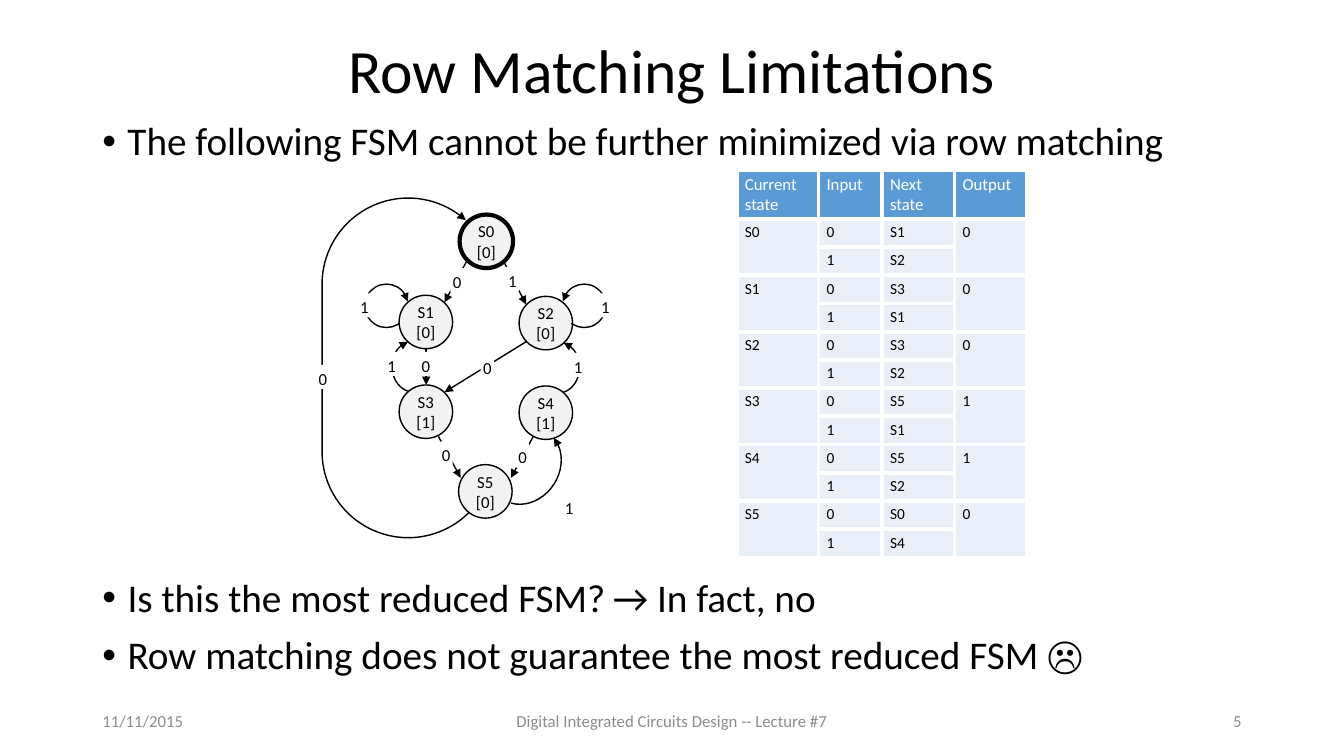
from math import cos, radians, sin

from lxml.etree import SubElement
from pptx import Presentation
from pptx.dml.color import RGBColor
from pptx.enum.shapes import MSO_CONNECTOR as LINK, MSO_SHAPE as SHAPE
from pptx.enum.text import MSO_ANCHOR as ANCHOR, PP_ALIGN as ALIGN
from pptx.oxml.ns import qn
from pptx.util import Pt

COLORS = {"ink": "000000", "paper": "FFFFFF", "state": "F2F2F2",
          "footer": "8C8C8C", "header": "5B9BD5", "cell": "EAEFF7"}


def color(name):
    return RGBColor.from_string(COLORS[name])


def apply(target, values):
    for key, value in values.items():
        setattr(target, key, value)


def write(frame, lines, size, ink="ink", paragraph_format=None, **frame_format):
    """Fill a text frame, one paragraph per line."""
    apply(frame, {"word_wrap": True, "vertical_anchor": ANCHOR.MIDDLE, **frame_format})
    frame.text = "\n".join(lines)
    for paragraph in frame.paragraphs:
        apply(paragraph, paragraph_format or {})
        for run in paragraph.runs:
            apply(run.font, {"name": "Calibri", "size": Pt(size), "bold": False})
            run.font.color.rgb = color(ink)


def add_text(slide, box, line, size, **text_format):
    frame = slide.shapes.add_textbox(*map(Pt, box)).text_frame
    write(frame, [line], size, **text_format)
    return frame


def style(shape, fill=None, weight=None):
    shape.shadow.inherit = False
    if fill:
        shape.fill.solid()
        shape.fill.fore_color.rgb = color(fill)
    else:
        shape.fill.background()
    if weight:
        shape.line.color.rgb = color("ink")
        shape.line.width = Pt(weight)
    else:
        shape.line.fill.background()


def add_arrowhead(edge, end="tailEnd"):
    SubElement(edge.line._get_or_add_ln(), qn("a:" + end), type="triangle")


# Title
def place_title(slide, box):
    title = slide.shapes.title
    apply(title, dict(zip(("left", "top", "width", "height"), map(Pt, box))))
    write(title.text_frame, ["Row Matching Limitations"], 44,
          paragraph_format={"alignment": ALIGN.CENTER, "line_spacing": 0.9})


# Statements
def place_statement(slide, box, line, bulleted=True):
    frame = add_text(slide, box, line, 28, vertical_anchor=ANCHOR.TOP,
                     paragraph_format={"line_spacing": 0.9, "space_before": Pt(12)})
    if bulleted:
        properties = frame.paragraphs[0]._p.get_or_add_pPr()
        properties.set("marL", str(Pt(18)))
        properties.set("indent", str(-Pt(18)))
        SubElement(properties, qn("a:buFont"), typeface="Arial")
        SubElement(properties, qn("a:buChar"), char="•")


# Footer
def place_footer(slide, box):
    left, top, width, height = box
    parts = [("11/11/2015", 0, 216, ALIGN.LEFT),
             ("Digital Integrated Circuits Design -- Lecture #7", 252, 324, ALIGN.CENTER),
             ("5", width - 216, 216, ALIGN.RIGHT)]
    for line, offset, part_width, alignment in parts:
        add_text(slide, (left + offset, top, part_width, height), line, 12,
                 ink="footer", paragraph_format={"alignment": alignment})


# State diagram
STATES = [("S0", 0, 121.4, 30.4), ("S1", 0, 78.2, 88), ("S2", 0, 163.9, 88.8),
          ("S3", 1, 78.2, 152.1), ("S4", 1, 163.9, 152.8), ("S5", 0, 120.7, 209)]
STRAIGHT_EDGES = [(107.4, 44.5, 91.5, 74), (134, 45.2, 149.8, 75.4),
                  (78.4, 106.4, 78.4, 133), (149.8, 102.1, 91.5, 138.1),
                  (154.9, 169.8, 139, 199.3), (87.2, 169.8, 103, 199.3)]
SELF_LOOP, RETURN = (191.5, 126.5, "headEnd"), (102.6, 256.9, "tailEnd")
# box, angles and arrow end, mirrored, rotation
CURVED_EDGES = [((175.8, 61, 31, 31), SELF_LOOP, False, 0),
                ((34.6, 61, 31, 31), SELF_LOOP, True, 0),
                ((54.1, 101.4, 31, 36.7), RETURN, False, 0),
                ((157, 102.1, 31, 36.7), RETURN, True, 0),
                ((124.6, 161.8, 49, 57.6), RETURN, True, 32.9)]
EDGE_LABELS = {"0": [(95.8, 49.5), (117.4, 110.7), (73.5, 109.3),
                     (142.6, 174.8), (87.9, 173.4), (0, 118.6)],
               "1": [(135.4, 48.8), (201.7, 67.5), (29.6, 67.5),
                     (49, 109.3), (182.2, 110), (175.8, 210.8)]}


def place_diagram(slide, left, top):
    parts = slide.shapes.add_group_shape().shapes
    diameter = 38.2

    def at(x, y):
        return Pt(left + x), Pt(top + y)

    for name, output, x, y in STATES:
        state = parts.add_shape(SHAPE.OVAL, *at(x - diameter / 2, y - diameter / 2),
                                Pt(diameter), Pt(diameter))
        style(state, "state", 3 if name == "S0" else 1)
        write(state.text_frame, [name, f"[{output}]"], 12, word_wrap=False,
              paragraph_format={"alignment": ALIGN.CENTER})

    for x1, y1, x2, y2 in STRAIGHT_EDGES:
        edge = parts.add_connector(LINK.STRAIGHT, *at(x1, y1), *at(x2, y2))
        edge.line.color.rgb = color("ink")
        edge.line.width = Pt(1)
        add_arrowhead(edge)
        SubElement(edge._element.spPr, qn("a:effectLst"))

    for (x, y, width, height), (start, stop, end), mirrored, rotation in CURVED_EDGES:
        edge = parts.add_shape(SHAPE.ARC, *at(x, y), Pt(width), Pt(height))
        for index, angle in enumerate((start, stop)):
            edge.adjustments[index] = angle * 0.6  # 60000 units per degree
        style(edge, weight=1)
        add_arrowhead(edge, end)
        edge.rotation = rotation
        if mirrored:
            edge._element.spPr.find(qn("a:xfrm")).set("flipH", "1")

    # Long way back from S5 to S0
    radius, center_x = 61.5, 65.6
    bends = [(180.6, range(45, 181, 3)), (61, range(180, 313, 3))]
    route = [at(center_x + radius * cos(radians(a)), center_y + radius * sin(radians(a)))
             for center_y, angles in bends for a in angles]
    builder = parts.build_freeform(*route[0])
    builder.add_line_segments(route[1:], close=False)
    way_back = builder.convert_to_shape()
    style(way_back, weight=1)
    add_arrowhead(way_back)

    for value, places in EDGE_LABELS.items():
        for place in places:
            label = parts.add_shape(SHAPE.RECTANGLE, *at(*place), Pt(9.4), Pt(17.3))
            style(label, "paper")
            write(label.text_frame, [value], 12, margin_left=0, margin_right=0,
                  margin_top=Pt(2.9), margin_bottom=0,
                  paragraph_format={"alignment": ALIGN.CENTER, "line_spacing": Pt(13.8)})


# Transition table
HEADINGS = ["Current state", "Input", "Next state", "Output"]
NEXT_STATES = [("S1", "S2"), ("S3", "S1"), ("S3", "S2"),
               ("S5", "S1"), ("S5", "S2"), ("S0", "S4")]


def format_cell(cell, line, size, ink, fill):
    apply(cell, {"margin_left": Pt(5.8), "margin_right": Pt(5.8), "margin_top": Pt(2.9),
                 "margin_bottom": Pt(2.9)})
    write(cell.text_frame, [line], size, ink)
    cell.vertical_anchor = ANCHOR.TOP
    properties = cell._tc.get_or_add_tcPr()
    for side in ("lnL", "lnR", "lnT", "lnB"):
        border = SubElement(properties, qn("a:" + side), w=str(Pt(3)))
        SubElement(SubElement(border, qn("a:solidFill")), qn("a:srgbClr"), val=COLORS["paper"])
    cell.fill.solid()
    cell.fill.fore_color.rgb = color(fill)


def place_transitions(slide, left, top):
    rows = [HEADINGS]
    for (name, output, _, _), targets in zip(STATES, NEXT_STATES):
        rows += [[name, "0", targets[0], str(output)], ["", "1", targets[1], ""]]
    widths, heights = [58.3, 45.4, 51.8, 51.8], [33.8] + [20.16] * 12
    box = (left, top, sum(widths), sum(heights))
    table = slide.shapes.add_table(len(rows), 4, *map(Pt, box)).table
    for column, width in zip(table.columns, widths):
        column.width = Pt(width)
    for r, (row, height) in enumerate(zip(rows, heights)):
        table.rows[r].height = Pt(height)
        look = (11, "ink", "cell") if r else (12, "paper", "header")
        for c, line in enumerate(row):
            format_cell(table.cell(r, c), line, *look)
    for r in range(1, len(rows), 2):
        for c in (0, 3):
            table.cell(r, c).merge(table.cell(r + 1, c))


deck = Presentation()
apply(deck, {"slide_width": Pt(960), "slide_height": Pt(540)})
slide = deck.slides.add_slide(deck.slide_layouts.get_by_name("Title Only"))
place_title(slide, (66, 24, 828, 57))
place_footer(slide, (66, 500.4, 828, 28.8))
place_diagram(slide, 226, 142)
place_statement(slide, (66, 83.5, 772.6, 38.2),
                "The following FSM cannot be further minimized via row matching")
place_transitions(slide, 526.3, 121.7)
place_statement(slide, (66, 409.7, 375.8, 38.2), "Is this the most reduced FSM?")
place_statement(slide, (430.6, 409.7, 166.3, 38.2), "→ In fact, no", bulleted=False)
place_statement(slide, (66, 450.7, 834.5, 38.2),
                "Row matching does not guarantee the most reduced FSM ☹")
deck.save("out.pptx")
